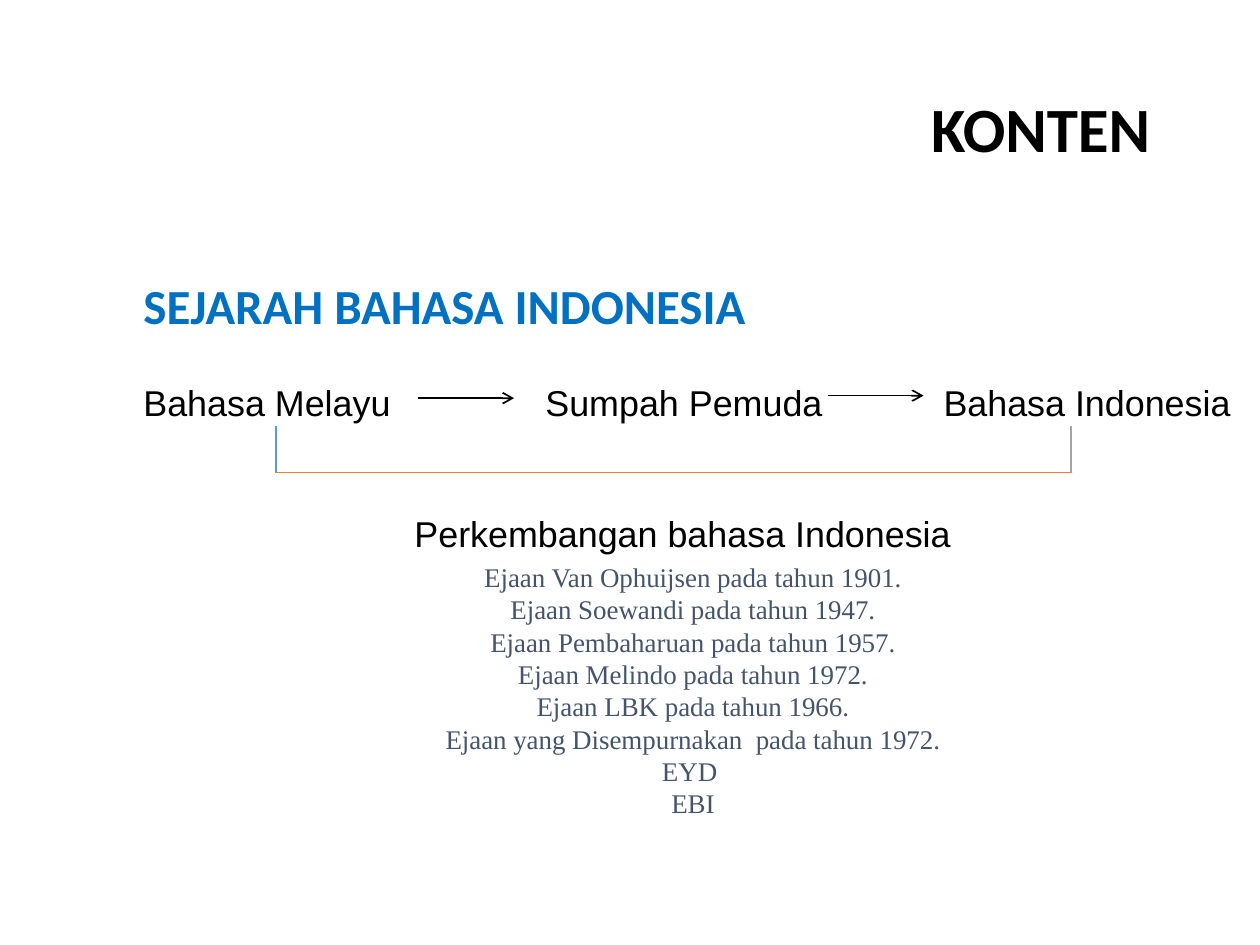
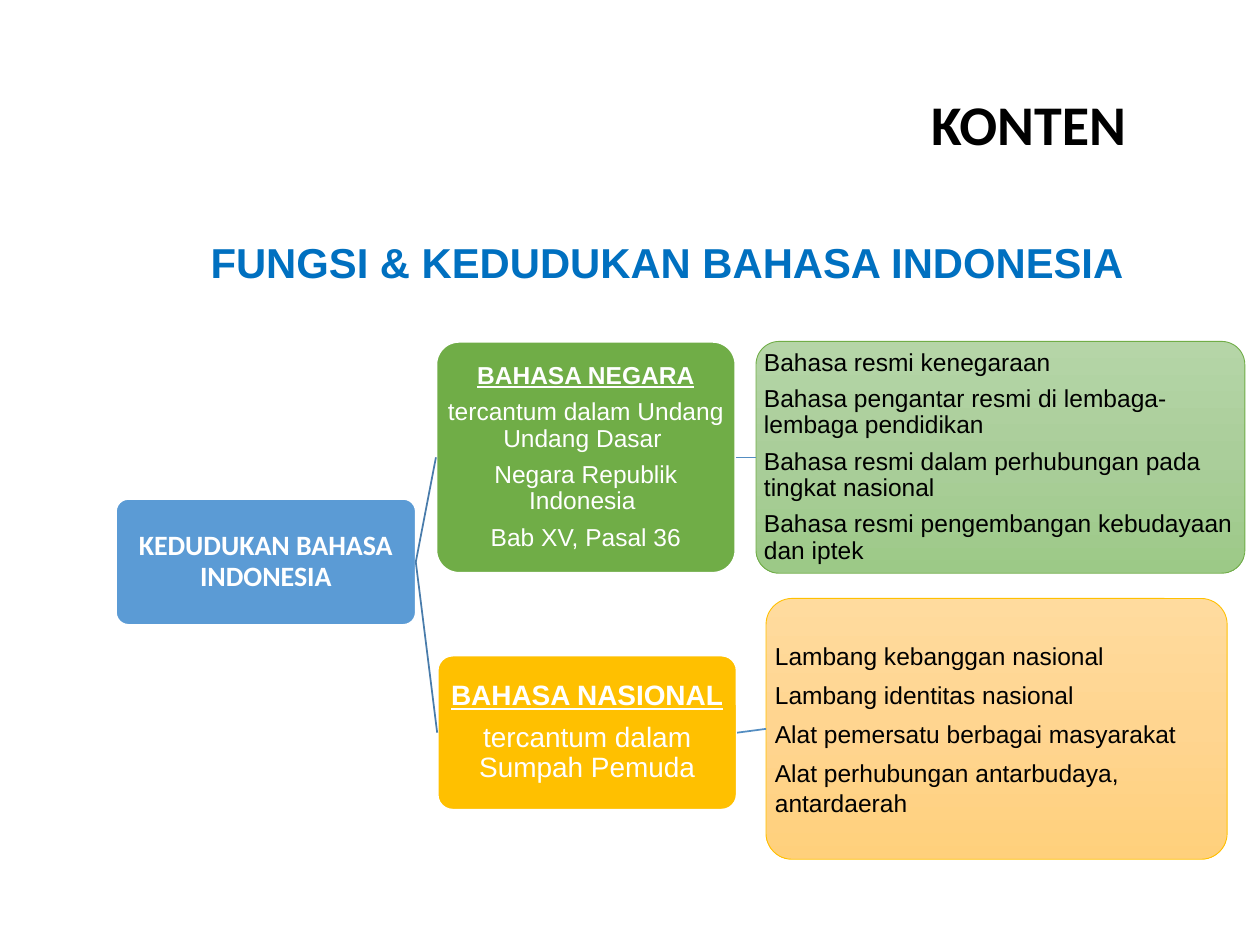
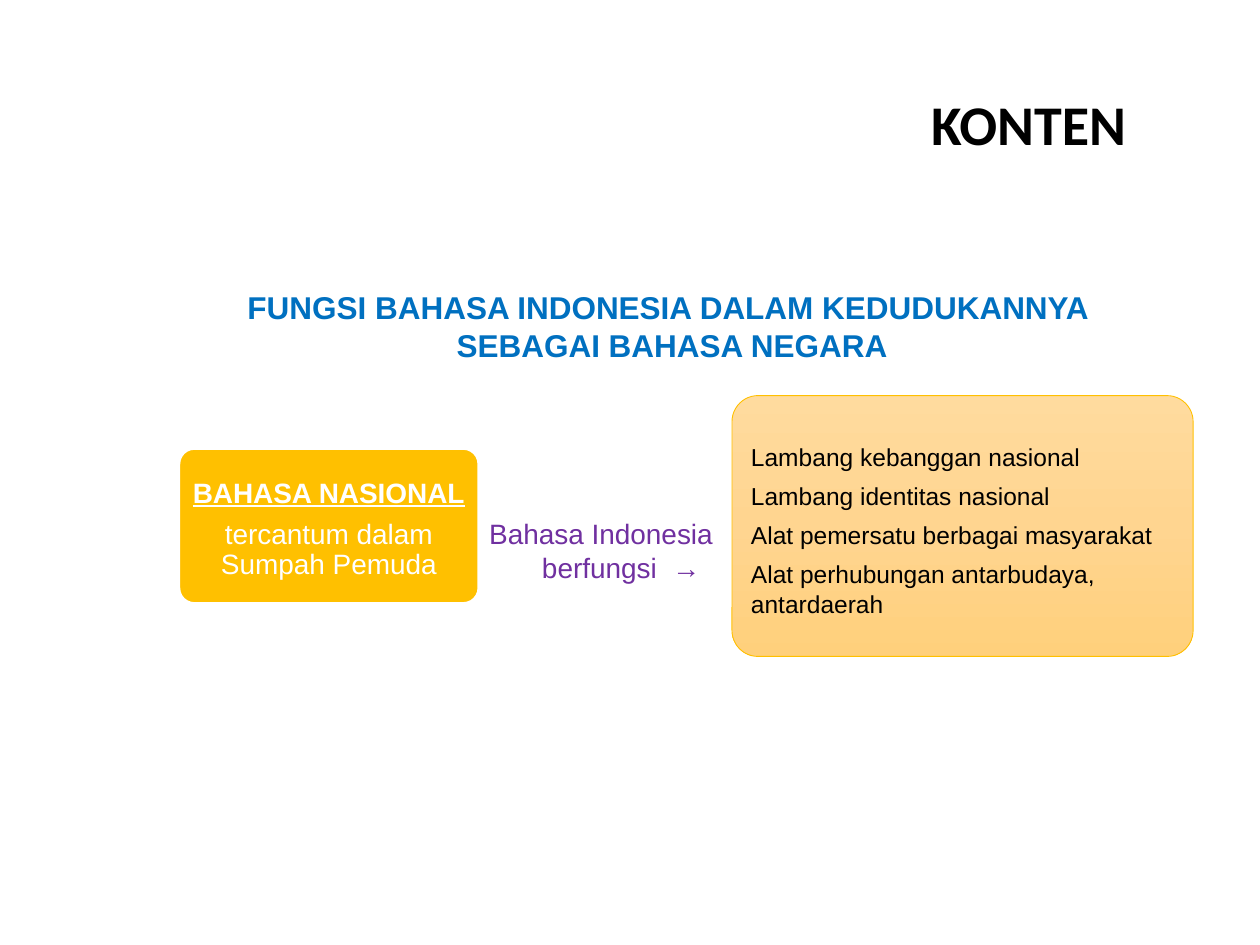
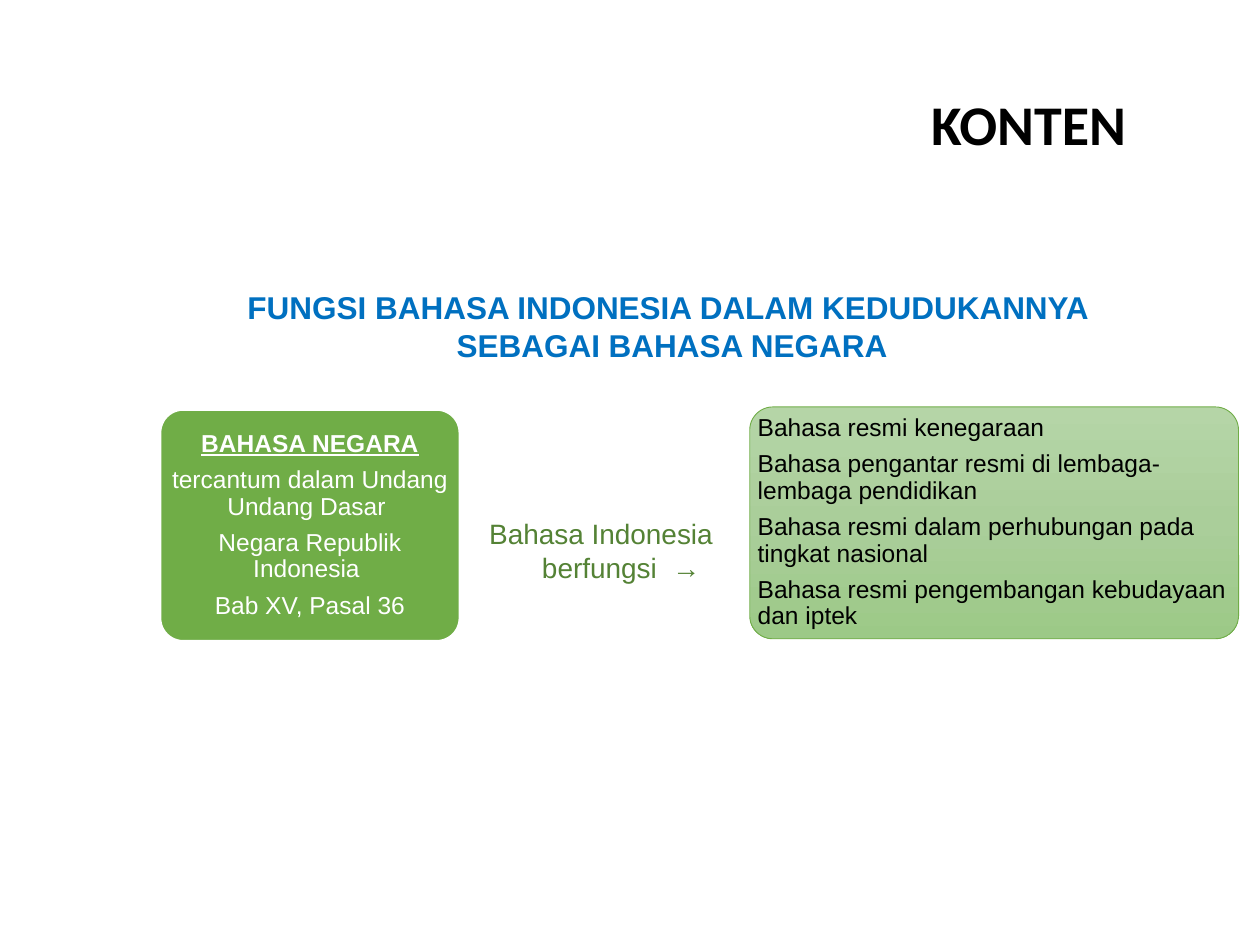
from copy import deepcopy

from lxml import etree
from pptx import Presentation
from pptx import util as u
from pptx.dml.color import RGBColor
from pptx.enum import shapes, text
from pptx.oxml.ns import qn

PX = 9144  # EMU per px, 100 px to the inch
TITLE_ONLY = 5
LEFT, CENTER, JUSTIFY = text.PP_ALIGN.LEFT, text.PP_ALIGN.CENTER, text.PP_ALIGN.JUSTIFY

BLACK, WHITE, HEADING = "000000", "FFFFFF", "0070C0"
BLUE, GREEN, GOLD = "5B9BD5", "70AD47", "FFC000"
GREEN_FADE = ("B5D5A7", "AACE9A", "9CC987")
GOLD_FADE = ("FFDB9E", "FFD590", "FFD07C")

NEGARA = ["BAHASA NEGARA", "tercantum dalam Undang Undang Dasar ",
          "Negara Republik Indonesia ", "Bab XV, Pasal 36"]
NEGARA_ROLES = ["Bahasa resmi kenegaraan",
                "Bahasa pengantar resmi di lembaga-lembaga pendidikan",
                "Bahasa resmi dalam perhubungan pada tingkat nasional",
                "Bahasa resmi pengembangan kebudayaan dan iptek"]
NASIONAL = ["BAHASA NASIONAL", "tercantum dalam Sumpah Pemuda"]
NASIONAL_ROLES = ["Lambang kebanggan nasional", "Lambang identitas nasional",
                  "Alat pemersatu berbagai masyarakat",
                  "Alat perhubungan antarbudaya, antardaerah"]
SPELLINGS = ["Ejaan Van Ophuijsen pada tahun 1901.", "Ejaan Soewandi pada tahun 1947.",
             "Ejaan Pembaharuan pada tahun 1957.", "Ejaan Melindo pada tahun 1972.",
             "Ejaan LBK pada tahun 1966.", "Ejaan yang Disempurnakan  pada tahun 1972.",
             "EYD ", "EBI"]


def rgb(color):
    return RGBColor.from_string(color)


class Deck:
    def __init__(self):
        self.prs = Presentation()
        self.prs.slide_width, self.prs.slide_height = 1000 * PX, 750 * PX
        self.s = None

    def slide(self, size=32, width=177, height=64):
        """Start a slide with its KONTEN title."""
        self.s = self.prs.slides.add_slide(self.prs.slide_layouts[TITLE_ONLY])
        sp = self.s.shapes.title
        sp.left, sp.top, sp.width, sp.height = [n * PX for n in (729, 66, width, height)]
        tf = sp.text_frame
        tf.word_wrap = False
        tf.auto_size = text.MSO_AUTO_SIZE.SHAPE_TO_FIT_TEXT
        tf.vertical_anchor = text.MSO_ANCHOR.TOP
        self.set_text(tf, ["KONTEN"], size, font="Calibri", bold=True)

    def set_text(self, tf, lines, size, color=BLACK, font="Arial", bold=False,
                 align=LEFT, spacing=None, after=None, hang=0):
        tf.text = "\n".join(lines)
        for p in tf.paragraphs:
            p.alignment = align
            p.line_spacing = spacing
            p.space_after = after
            if hang:
                pPr = p._p.get_or_add_pPr()
                pPr.set("marL", str(hang * PX))
                pPr.set("indent", str(-hang * PX))
            for r in p.runs:
                r.font.size, r.font.name, r.font.bold = u.Pt(size), font, bold
                r.font.color.rgb = rgb(color)

    def text(self, box, lines, size, wrap=True, **style):
        sp = self.s.shapes.add_textbox(*[n * PX for n in box])
        tf = sp.text_frame
        tf.word_wrap = wrap
        tf.auto_size = text.MSO_AUTO_SIZE.SHAPE_TO_FIT_TEXT
        self.set_text(tf, lines, size, **style)
        return tf

    def card(self, box, lines, size, fill, line=WHITE, weight=1.5, shift=(0, 0), **style):
        """Rounded box; a tuple of colours as fill gives a downward gradient."""
        sp = self.s.shapes.add_shape(shapes.MSO_SHAPE.ROUNDED_RECTANGLE, *[n * PX for n in box])
        sp.adjustments[0] = 0.1
        sp.shadow.inherit = False
        if isinstance(fill, tuple):
            self.fade(sp, fill)
        else:
            sp.fill.solid()
            sp.fill.fore_color.rgb = rgb(fill)
        sp.line.color.rgb = rgb(line)
        sp.line.width = u.Pt(weight)
        tf = sp.text_frame
        tf.word_wrap = True
        tf.vertical_anchor = text.MSO_ANCHOR.MIDDLE
        tf.margin_left, tf.margin_top = (1 + shift[0]) * PX, (1 + 2 * shift[1]) * PX
        tf.margin_right = tf.margin_bottom = PX
        self.set_text(tf, lines, size, after=u.Pt(0.4 * size), **style)
        return sp

    def fade(self, sp, colors):
        sp.fill.gradient()
        sp.fill.gradient_angle = 270
        stops = sp._element.spPr.find(".//" + qn("a:gsLst"))
        stops.insert(1, deepcopy(stops[0]))
        for i, (stop, color) in enumerate(zip(sp.fill.gradient_stops, colors)):
            stop.position = i / 2
            stop.color.rgb = rgb(color)

    def topic(self, box, lines, size, fill, shift=(0, 0)):
        """Card whose first line is an underlined heading."""
        sp = self.card(box, lines, size, fill, shift=shift, color=WHITE,
                       align=CENTER, spacing=0.9)
        r = sp.text_frame.paragraphs[0].runs[0]
        r.font.bold = r.font.underline = True
        return sp

    def negara(self, x, y):
        return self.topic((x, y, 238, 184), NEGARA, 14, GREEN)

    def negara_roles(self, x, y):
        return self.card((x, y, 388, 184), NEGARA_ROLES, 14, GREEN_FADE, GREEN, 0.5, spacing=0.9)

    def nasional(self, x, y, shift=(0, 0)):
        return self.topic((x, y, 238, 123), NASIONAL, 16, GOLD, shift)

    def nasional_roles(self, x, y, shift=(0, 0)):
        return self.card((x, y, 366, 207), NASIONAL_ROLES, 14, GOLD_FADE, GOLD, 0.5, shift)

    def line(self, x1, y1, x2, y2, color, weight=1, arrow=False):
        c = self.s.shapes.add_connector(shapes.MSO_CONNECTOR.STRAIGHT,
                                        *[n * PX for n in (x1, y1, x2, y2)])
        c.line.color.rgb = rgb(color)
        c.line.width = u.Pt(weight)
        spPr = c._element.spPr
        if arrow:
            etree.SubElement(spPr.find(qn("a:ln")), qn("a:tailEnd"), type="arrow")
        etree.SubElement(spPr, qn("a:effectLst"))
        return c

    def join(self, left, right, color):
        """Line from the right side of one card to the left side of another."""
        c = self.line(0, 0, 0, 0, color)
        c.begin_connect(left, 3)
        c.end_connect(right, 1)

    def function_heading(self, color):
        """Heading and linking phrase of the two function slides."""
        self.text((120, 224, 827, 71),
                  ["FUNGSI BAHASA INDONESIA DALAM KEDUDUKANNYA ", "SEBAGAI BAHASA NEGARA"],
                  18, color=HEADING, bold=True, align=CENTER, hang=32)
        self.text((356, 405, 242, 64), ["Bahasa Indonesia berfungsi  →"],
                  16, color=color, align=CENTER, hang=32)


def history(d):
    d.slide(36, 196, 71)
    d.text((104, 214, 504, 57), ["SEJARAH BAHASA INDONESIA"], 28, wrap=False,
           color=HEADING, font="Calibri", bold=True)

    # Three stages on tab stops, with the result below
    tf = d.text((104, 280, 884, 166),
                ["Bahasa Melayu\tSumpah Pemuda\tBahasa Indonesia", "Perkembangan bahasa Indonesia "],
                20.5, align=JUSTIFY, spacing=1.5)
    stages, result = tf.paragraphs
    tabs = etree.SubElement(stages._p.get_or_add_pPr(), qn("a:tabLst"))
    for x in (319, 635):
        etree.SubElement(tabs, qn("a:tab"), pos=str(x * PX), algn="l")
    result.alignment = CENTER
    result.space_before = u.Pt(38)

    # Arrows between stages
    for x, y in ((332, 316), (657, 314)):
        d.line(x, y, x + 76, y, BLACK, arrow=True)

    # Bracket under the stages
    left, right, top, bottom = 219, 850, 338, 375
    d.line(left, top, left, bottom, BLUE)
    d.line(right, top, right, bottom, "A5A5A5", 1.5)
    d.line(left, bottom, right, bottom, "ED7D31")

    d.text((300, 440, 500, 217), SPELLINGS, 15.4, color="44546A",
           font="Times New Roman", align=CENTER)


def position(d):
    d.slide()
    d.text((117, 183, 825, 50), ["FUNGSI & KEDUDUKAN BAHASA INDONESIA"], 23.9,
           color=HEADING, bold=True, align=CENTER, hang=32)

    # Tree of cards
    root = d.card((92, 396, 238, 100), ["KEDUDUKAN BAHASA INDONESIA"], 16, BLUE, weight=1,
                  color=WHITE, font="Calibri", bold=True, align=CENTER, spacing=0.9)
    branches = ((d.negara(346, 271), d.negara_roles(600, 271)),
                (d.nasional(347, 520), d.nasional_roles(608, 475)))
    for topic, roles in branches:
        d.join(root, topic, "497CAB")
        d.join(topic, roles, "538DC1")


def national_function(d):
    d.slide()
    d.function_heading("7030A0")
    d.nasional(142, 356, shift=(0, 3))
    d.nasional_roles(581, 314, shift=(8, 3))


def state_function(d):
    d.slide()
    d.function_heading("548235")
    d.negara(127, 325)
    d.negara_roles(595, 323)


def main():
    d = Deck()
    for build in (history, position, national_function, state_function):
        build(d)
    d.prs.save("out.pptx")


if __name__ == "__main__":
    main()
